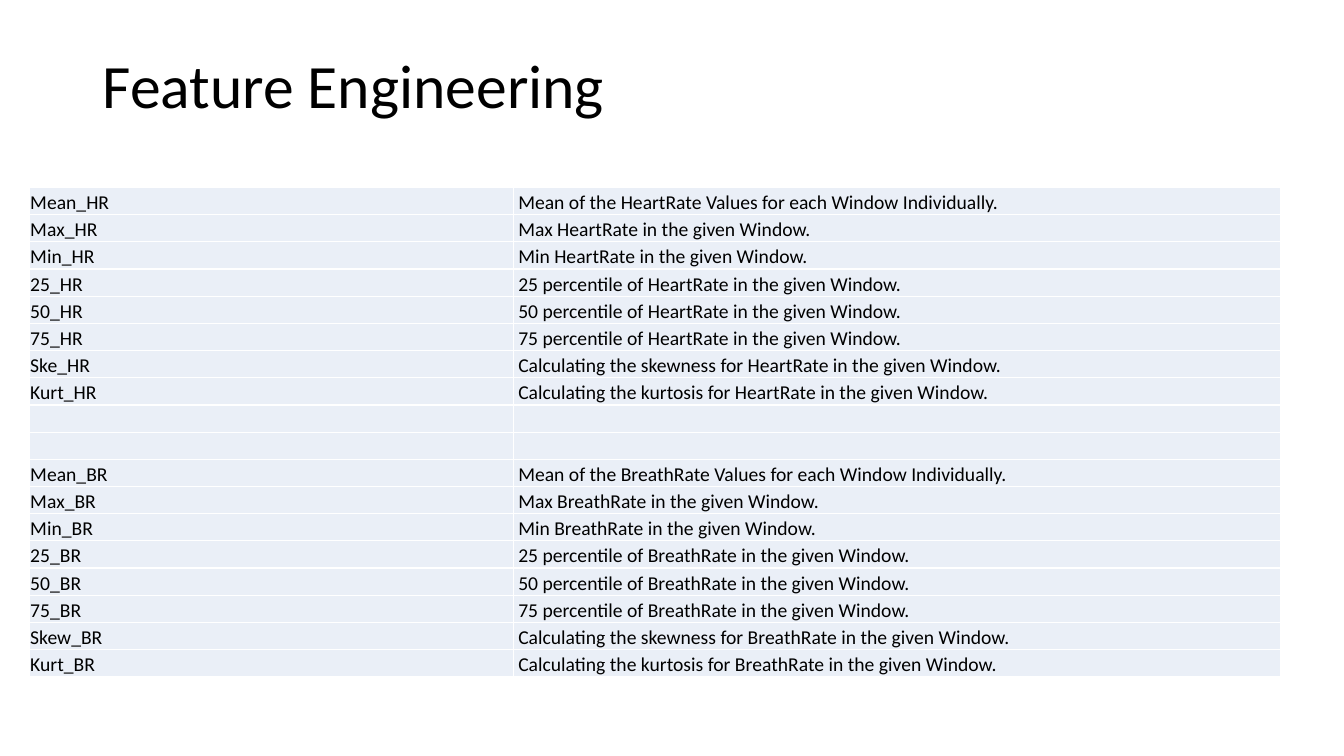
from dataclasses import dataclass

from lxml.etree import SubElement
from pptx import Presentation
from pptx.dml.color import RGBColor
from pptx.enum.text import MSO_ANCHOR as Anchor
from pptx.oxml.ns import qn
from pptx.util import Inches, Pt


@dataclass(frozen=True)
class Theme:
    font: str = "Calibri"
    ink: str = "000000"
    cell: str = "EAEFF7"
    border: str = "FFFFFF"
    title_size: int = 44
    table_size: int = 14
    border_width: int = 1


THEME = Theme()
COLUMN_WIDTHS = (4.8, 7.61)
COLUMN_INSETS = (0.01, 0.05)
ROW_HEIGHT = 0.27
GAP_ROWS = [("", "")] * 2


def signal_features(suffix, signal, skew_label):
    """Return (feature, description) rows for one measured signal."""
    window = f"{signal} in the given Window."
    return [
        (f"Mean_{suffix}", f"Mean of the {signal} Values for each Window Individually."),
        (f"Max_{suffix}", f"Max {window}"),
        (f"Min_{suffix}", f"Min {window}"),
        *((f"{rank}_{suffix}", f"{rank} percentile of {window}") for rank in (25, 50, 75)),
        (f"{skew_label}_{suffix}", f"Calculating the skewness for {window}"),
        (f"Kurt_{suffix}", f"Calculating the kurtosis for {window}"),
    ]


def write_text(frame, text, *, size, anchor, line_spacing=None):
    frame.word_wrap = True
    frame.vertical_anchor = anchor
    paragraph = frame.paragraphs[0]
    paragraph.line_spacing = line_spacing
    if not text:
        # The end mark sets the line height of an empty paragraph.
        SubElement(paragraph._p, qn("a:endParaRPr"), sz=str(size * 100))
        return
    run = paragraph.add_run()
    run.text = text
    run.font.name = THEME.font
    run.font.size = Pt(size)
    run.font.color.rgb = RGBColor.from_string(THEME.ink)


def add_title(slide, text):
    title = slide.shapes.add_textbox(Inches(0.92), Inches(0.4), Inches(7.61), Inches(0.96))
    write_text(title.text_frame, text, size=THEME.title_size,
               anchor=Anchor.MIDDLE, line_spacing=0.9)


def add_borders(cell):
    properties = cell._tc.get_or_add_tcPr()
    for side in ("lnL", "lnR", "lnT", "lnB"):
        line = SubElement(properties, qn(f"a:{side}"), w=str(Pt(THEME.border_width)))
        fill = SubElement(line, qn("a:solidFill"))
        SubElement(fill, qn("a:srgbClr"), val=THEME.border)


def format_cell(cell, text, inset):
    add_borders(cell)
    cell.fill.solid()
    cell.fill.fore_color.rgb = RGBColor.from_string(THEME.cell)
    cell.margin_left = Inches(inset)
    cell.margin_right = cell.margin_top = Inches(0.01)
    cell.margin_bottom = 0
    write_text(cell.text_frame, text, size=THEME.table_size, anchor=Anchor.BOTTOM)
    cell.vertical_anchor = Anchor.BOTTOM


def add_feature_table(slide, features):
    table = slide.shapes.add_table(
        len(features), len(COLUMN_WIDTHS), Inches(0.29), Inches(1.86),
        Inches(sum(COLUMN_WIDTHS)), Inches(ROW_HEIGHT * len(features))).table
    table.first_row = table.horz_banding = False
    for column, width in zip(table.columns, COLUMN_WIDTHS):
        column.width = Inches(width)
    for row, feature in zip(table.rows, features):
        row.height = Inches(ROW_HEIGHT)
        for cell, text, inset in zip(row.cells, feature, COLUMN_INSETS):
            format_cell(cell, text, inset)


def main():
    deck = Presentation()
    deck.slide_width, deck.slide_height = Inches(13.33), Inches(7.5)
    slide = deck.slides.add_slide(deck.slide_layouts[6])
    add_title(slide, "Feature Engineering")
    add_feature_table(slide, signal_features("HR", "HeartRate", "Ske") + GAP_ROWS
                      + signal_features("BR", "BreathRate", "Skew"))
    deck.save("out.pptx")


if __name__ == "__main__":
    main()
